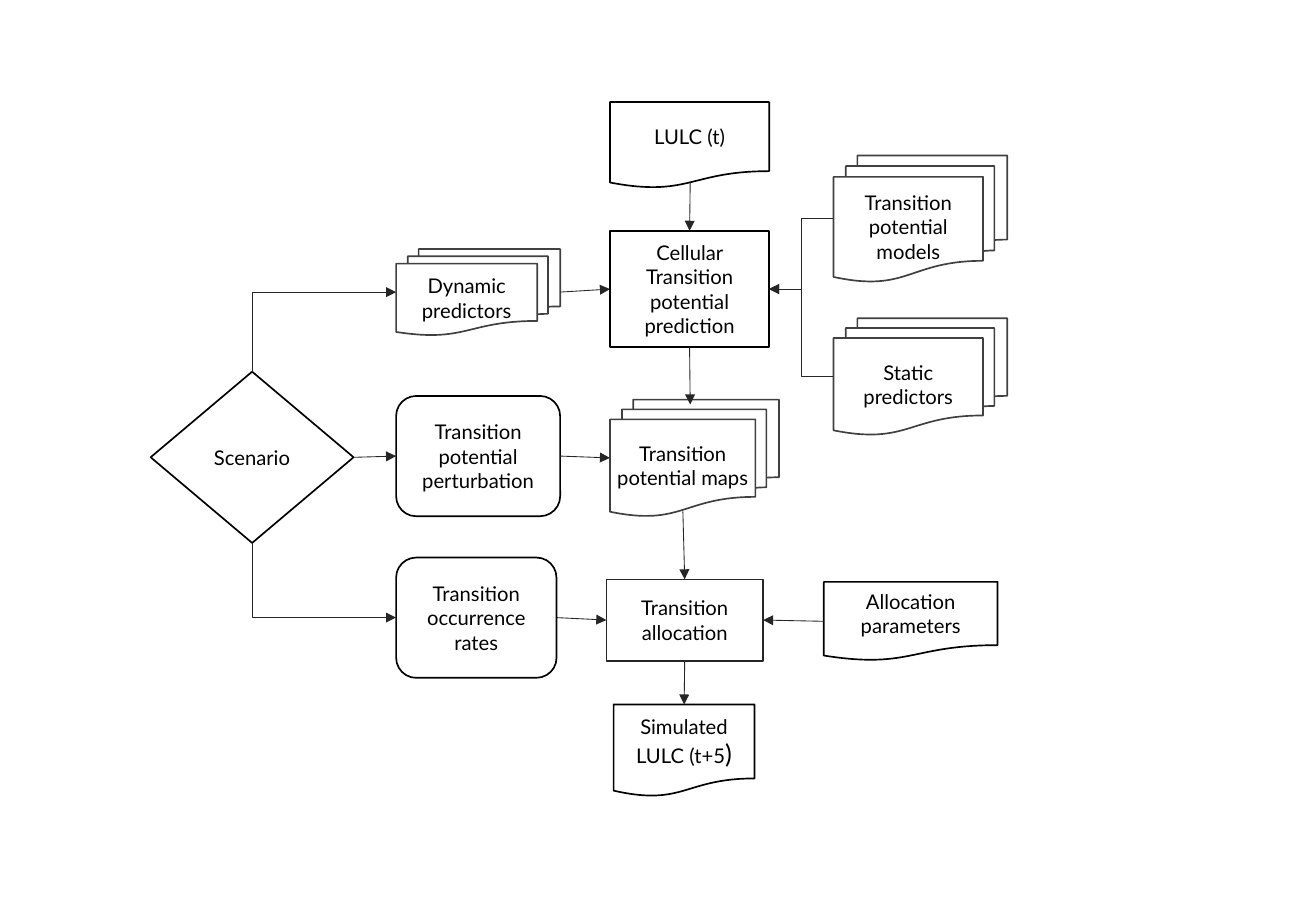
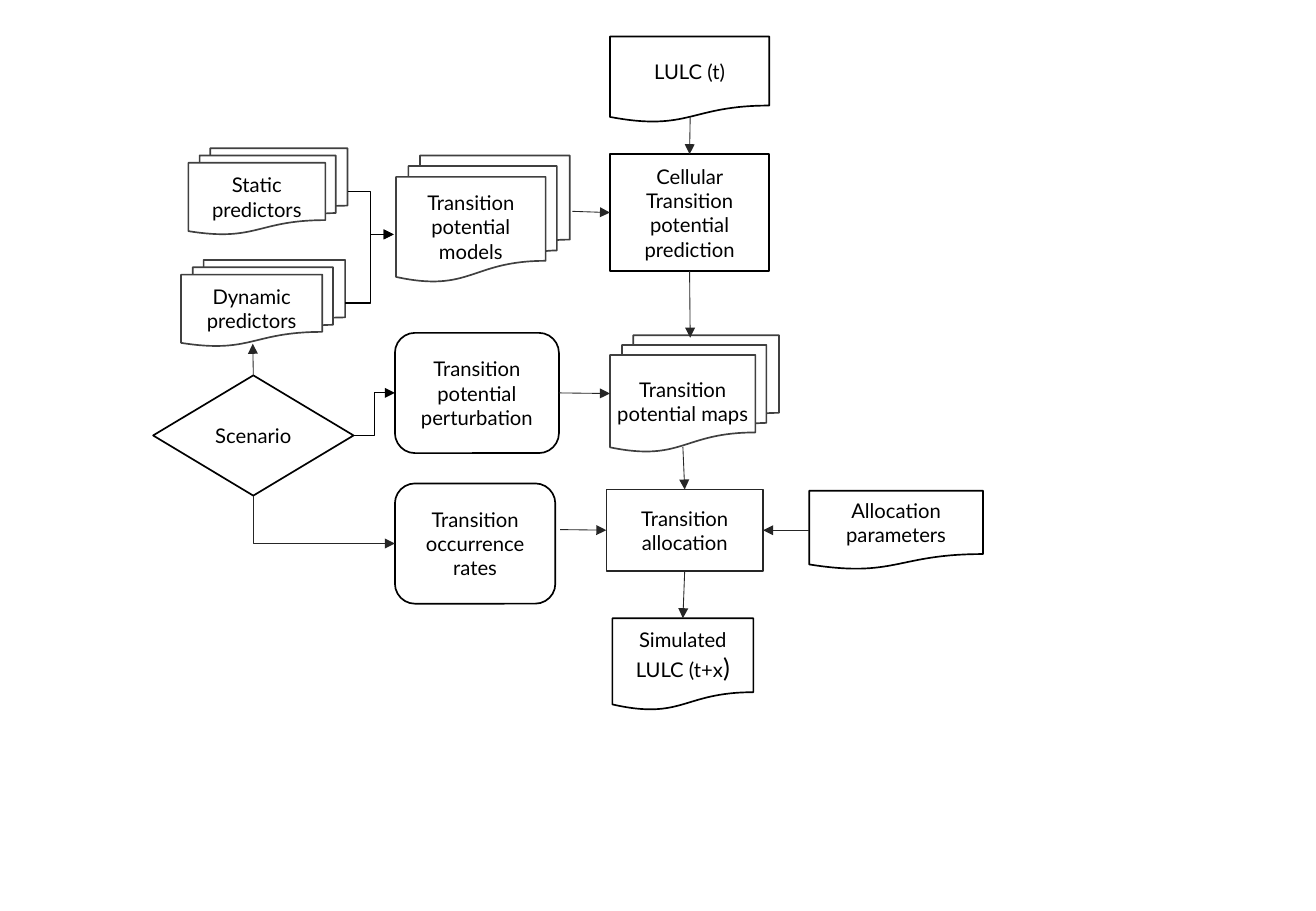
from lxml import etree
from pptx import Presentation
from pptx.dml.color import RGBColor
from pptx.enum.shapes import MSO_CONNECTOR, MSO_SHAPE
from pptx.enum.text import MSO_ANCHOR, PP_ALIGN
from pptx.oxml.ns import qn
from pptx.util import Pt

PX = 9144
FONT = "Lato"
HUES = {"black": "000000", "dark": "262626", "grey": "404040", "white": "FFFFFF"}
TOP, LEFT, BASE, RIGHT = range(4)
LINE = MSO_CONNECTOR.STRAIGHT
BENT = MSO_CONNECTOR.ELBOW
MID = MSO_ANCHOR.MIDDLE
MIDST = PP_ALIGN.CENTER
CHOICE = MSO_SHAPE.FLOWCHART_DECISION
STACK = MSO_SHAPE.FLOWCHART_MULTIDOCUMENT
PAGE = MSO_SHAPE.FLOWCHART_DOCUMENT
STEP = MSO_SHAPE.FLOWCHART_PROCESS
ROUND = MSO_SHAPE.FLOWCHART_ALTERNATE_PROCESS

NODES = {
    "choice": (CHOICE, 167, 141, "black", "Scenario"),
    "moving": (STACK, 135, 71, "grey", "Dynamic predictors"),
    "static": (STACK, 143, 96, "grey", "Static predictors"),
    "models": (STACK, 143, 104, "grey", "Transition potential models"),
    "maps": (STACK, 139, 96, "grey", "Transition potential maps"),
    "result": (PAGE, 116, 76, "black", "Simulated LULC (t+"),
    "start": (PAGE, 131, 71, "black", "LULC (t)"),
    "alloc": (STEP, 129, 67, "dark", "Transition\nallocation"),
    "cell": (STEP, 131, 96, "black", "Cellular Transition potential prediction"),
    "shift": (ROUND, 135, 99, "black", "Transition potential perturbation"),
    "rates": (ROUND, 132, 99, "black", "Transition occurrence rates"),
    "params": (PAGE, 143, 65, "black", "Allocation\nparameters"),
}


def hue(name):
    return RGBColor.from_string(HUES[name])


def style(run, size=12):
    run.font.name = FONT
    run.font.size = Pt(size)
    run.font.color.rgb = hue("black")


def add_node(slide, name, place, step):
    kind, wide, high, edge, text = NODES[name]
    x, y, *size = place
    wide, high = size or (wide, high)
    node = slide.shapes.add_shape(kind, x * PX, y * PX, wide * PX, high * PX)
    node.shadow.inherit = False
    node.fill.solid()
    node.fill.fore_color.rgb = hue("white")
    node.line.color.rgb = hue(edge)
    node.line.width = Pt(1)
    frame = node.text_frame
    frame.word_wrap = True
    frame.vertical_anchor = MID
    frame.margin_left = frame.margin_right = 5 * PX
    frame.text = text + step if name == "result" else text
    for para in frame.paragraphs:
        para.alignment = MIDST
        for run in para.runs:
            style(run)
    if name == "result":
        run = frame.paragraphs[0].add_run()
        run.text = ")"
        style(run, 15.2)
    return node


def add_link(slide, nodes, start, end, kind=LINE, color="dark", width=0.5, tip="tailEnd"):
    link = slide.shapes.add_connector(kind, 0, 0, 0, 0)
    if start[0] in nodes:
        link.begin_connect(nodes[start[0]], start[1])
    else:
        link.begin_x, link.begin_y = (n * PX for n in start)
    if end[0] in nodes:
        link.end_connect(nodes[end[0]], end[1])
    else:
        link.end_x, link.end_y = (n * PX for n in end)
    link.line.color.rgb = hue(color)
    link.line.width = Pt(width)
    props = link._element.spPr
    etree.SubElement(props.find(qn("a:ln")), qn(f"a:{tip}"), type="triangle")
    etree.SubElement(props, qn("a:effectLst"))
    return props.find(qn("a:prstGeom"))


def add_turn(slide, nodes, target, source):
    shape = add_link(slide, nodes, target, source, BENT, tip="headEnd")
    shape.set("prst", "bentConnector2")


def add_bend(slide, nodes, start, end, color="dark", width=0.5, part=50000):
    shape = add_link(slide, nodes, start, end, BENT, color, width)
    guides = shape.find(qn("a:avLst"))
    if guides is None:
        guides = etree.SubElement(shape, qn("a:avLst"))
    etree.SubElement(guides, qn("a:gd"), name="adj1", fmla=f"val {part}")


def add_flow(deck, places, step, lines):
    slide = deck.slides.add_slide(deck.slide_layouts[6])
    nodes = {name: add_node(slide, name, places[name], step) for name in NODES}
    shared = [
        (("params", LEFT), ("alloc", RIGHT)),
        (("alloc", BASE), ("result", TOP)),
        (("shift", RIGHT), ("maps", LEFT)),
    ]
    for start, end in shared + lines:
        add_link(slide, nodes, start, end)
    add_turn(slide, nodes, ("rates", LEFT), ("choice", BASE))
    return slide, nodes


def add_first(deck):
    places = {
        "choice": (124, 306), "moving": (326, 205), "static": (686, 262),
        "models": (686, 128), "maps": (502, 329), "result": (505, 580),
        "start": (502, 84), "alloc": (499, 477), "cell": (502, 190),
        "shift": (326, 326), "rates": (326, 459), "params": (678, 479),
    }
    lines = [
        (("moving", RIGHT), ("cell", LEFT)),
        ((568, 150), ("cell", TOP)),
        (("choice", RIGHT), ("shift", LEFT)),
        (("rates", RIGHT), ("alloc", LEFT)),
        ((562, 421), ("alloc", TOP)),
        (("cell", BASE), (568, 333)),
    ]
    slide, nodes = add_flow(deck, places, "5", lines)
    add_turn(slide, nodes, ("moving", LEFT), ("choice", TOP))
    for name in ("models", "static"):
        add_bend(slide, nodes, (name, LEFT), ("cell", RIGHT))


def add_second(deck):
    places = {
        "choice": (126, 309, 165, 99), "moving": (149, 214),
        "static": (155, 122, 131, 71), "models": (326, 128),
        "maps": (502, 276), "result": (504, 509), "start": (502, 30),
        "alloc": (499, 403), "cell": (502, 127), "shift": (325, 274),
        "rates": (325, 398), "params": (666, 404),
    }
    lines = [
        (("choice", TOP), (208, 283)),
        ((568, 96), ("cell", TOP)),
        ((461, 436), ("alloc", LEFT)),
        ((562, 368), ("alloc", TOP)),
        (("cell", BASE), (568, 278)),
        ((471, 174), ("cell", LEFT)),
    ]
    slide, nodes = add_flow(deck, places, "x", lines)
    for name, part in (("static", 50000), ("moving", 52000)):
        add_bend(slide, nodes, (name, RIGHT), (324, 193), "black", 0.75, part)
    add_bend(slide, nodes, ("choice", RIGHT), ("shift", LEFT), "black")


def main():
    deck = Presentation()
    deck.slide_width = 1083 * PX
    deck.slide_height = 750 * PX
    add_first(deck)
    add_second(deck)
    deck.save("out.pptx")


if __name__ == "__main__":
    main()
